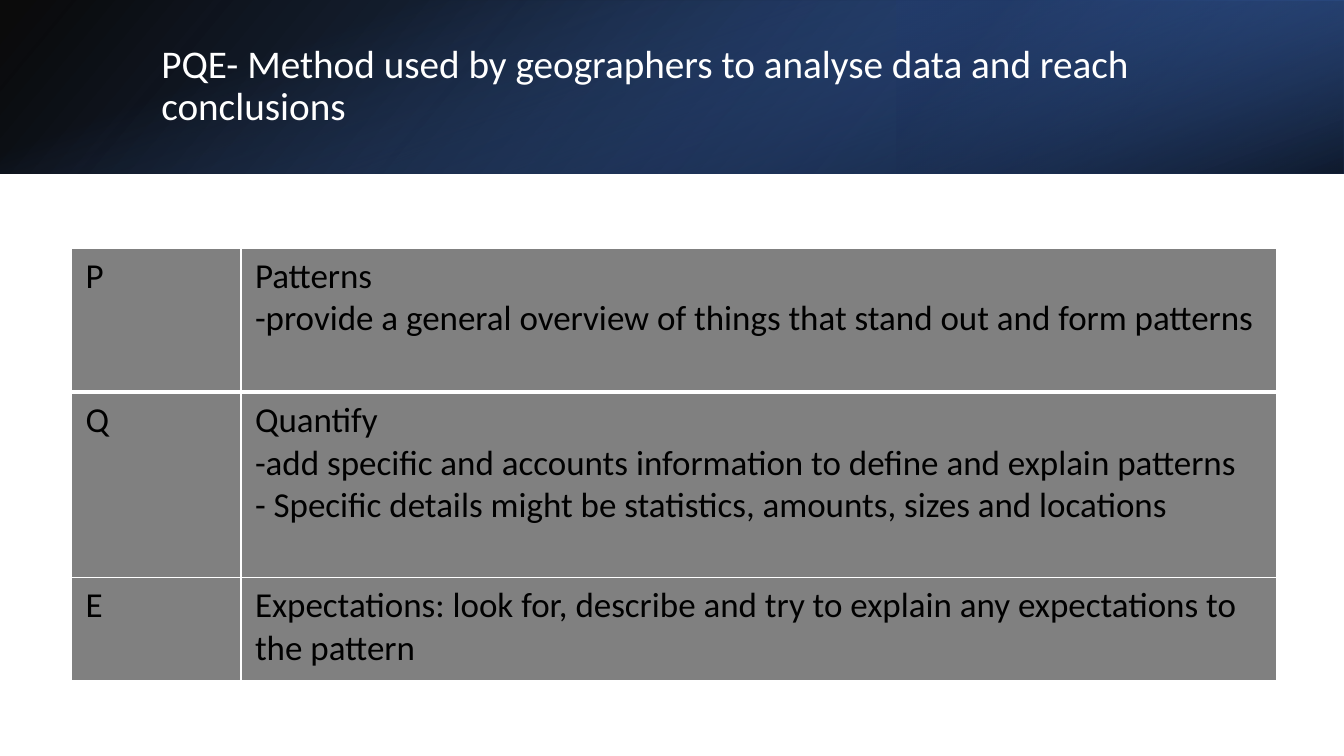
from dataclasses import dataclass

from lxml.etree import SubElement
from pptx import Presentation
from pptx.dml.color import RGBColor
from pptx.enum.shapes import MSO_SHAPE as Shape
from pptx.enum.text import MSO_ANCHOR as Anchor, MSO_AUTO_SIZE as Fit, PP_ALIGN as Align
from pptx.oxml.ns import qn
from pptx.slide import Slide
from pptx.table import _Cell as Cell
from pptx.text.text import TextFrame
from pptx.util import Emu, Pt

SCALE = 9144  # 100 px to the inch
WHITE = RGBColor(0xFF, 0xFF, 0xFF)
BLACK = RGBColor(0x00, 0x00, 0x00)
GRAY = RGBColor(0x80, 0x80, 0x80)
BLUE = RGBColor(0x44, 0x72, 0xC4)
DEEP = RGBColor(0x2F, 0x55, 0x97)
NAVY = RGBColor(0x20, 0x38, 0x64)
FONT = "Calibri"


@dataclass
class Stop:
    pos: float
    color: RGBColor
    alpha: int  # percent


@dataclass
class Panel:
    box: tuple[int, int, int, int]
    angle: int  # clockwise degrees
    stops: tuple[Stop, Stop]
    turn: int = 0
    flip: bool = False


@dataclass
class Row:
    key: str
    text: str
    height: int
    base: int = 1  # width of the lower border in points


PANELS = [
    Panel((0, 0, 1333, 172), 140, (Stop(0, BLACK, 96), Stop(1, DEEP, 100)), flip=True),
    Panel((889, 0, 444, 172), 320, (Stop(0.19, NAVY, 68), Stop(1, BLUE, 79)), 180, True),
    Panel((580, -580, 172, 1333), 340, (Stop(0.23, BLUE, 0), Stop(0.99, BLACK, 74)), 90),
]
ROWS = [
    Row("P", "Patterns\n-provide a general overview of things that stand out and form patterns", 143, 3),
    Row("Q", "Quantify\n-add specific and accounts information to define and explain patterns\n"
        "- Specific details might be statistics, amounts, sizes and locations", 184),
    Row("E", "Expectations: look for, describe and try to explain any expectations to the pattern", 102),
]
COLS = (168, 1027)
TITLE = "PQE- Method used by geographers to analyse data and reach conclusions"


def px(num: int) -> Emu:
    return Emu(num * SCALE)


def style(frame: TextFrame, size: int, color: RGBColor) -> None:
    for para in frame.paragraphs:
        para.alignment = Align.LEFT
        for run in para.runs:
            run.font.name = FONT
            run.font.size = Pt(size)
            run.font.bold = False
            run.font.color.rgb = color


def draw_panel(slide: Slide, panel: Panel) -> None:
    shape = slide.shapes.add_shape(Shape.RECTANGLE, *map(px, panel.box))
    shape.shadow.inherit = False
    shape.line.fill.background()
    shape.rotation = panel.turn
    props = shape.element.spPr
    if panel.flip:
        props.xfrm.set("flipH", "1")
    shape.fill.gradient()
    shape.fill.gradient_angle = 360 - panel.angle
    for stop, data in zip(shape.fill.gradient_stops, panel.stops):
        stop.position = data.pos
        stop.color.rgb = data.color
    for node, data in zip(props.iter(qn("a:srgbClr")), panel.stops):
        SubElement(node, qn("a:alpha"), val=str(data.alpha * 1000))


def edge(cell: Cell, top: int, base: int) -> None:
    props = cell._tc.get_or_add_tcPr()
    for tag, width in (("a:lnL", 1), ("a:lnR", 1), ("a:lnT", top), ("a:lnB", base)):
        line = SubElement(props, qn(tag), w=str(Pt(width)))
        fill = SubElement(line, qn("a:solidFill"))
        SubElement(fill, qn("a:srgbClr"), val=str(WHITE))


def draw_table(slide: Slide) -> None:
    total = sum(row.height for row in ROWS)
    table = slide.shapes.add_table(
        len(ROWS), len(COLS), px(71), px(246), px(sum(COLS)), px(total)).table
    table.first_row = table.horz_banding = False
    for col, width in zip(table.columns, COLS):
        col.width = px(width)
    top = 1
    for line, row in zip(table.rows, ROWS):
        line.height = px(row.height)
        for cell, text in zip(line.cells, (row.key, row.text)):
            cell.margin_left = cell.margin_right = px(14)
            cell.margin_top = cell.margin_bottom = px(7)
            cell.text_frame.text = text
            style(cell.text_frame, 25, BLACK)
            edge(cell, top, row.base)
            cell.fill.solid()
            cell.fill.fore_color.rgb = GRAY
        top = row.base


def draw_title(slide: Slide) -> None:
    title = slide.shapes.title
    title.left, title.top, title.width, title.height = map(px, (150, 38, 1098, 96))
    frame = title.text_frame
    frame.text = TITLE
    frame.word_wrap = True
    frame.auto_size = Fit.NONE
    frame.vertical_anchor = Anchor.MIDDLE
    frame.paragraphs[0].line_spacing = 0.9
    style(frame, 28, WHITE)
    # Bring the title in front of the panels
    slide.shapes.element.append(title.element)


def main() -> None:
    deck = Presentation()
    deck.slide_width, deck.slide_height = px(1333), px(750)
    slide = deck.slides.add_slide(deck.slide_layouts[5])
    # Header
    for panel in PANELS:
        draw_panel(slide, panel)
    draw_title(slide)
    # Method table
    draw_table(slide)
    deck.save("out.pptx")


if __name__ == "__main__":
    main()
